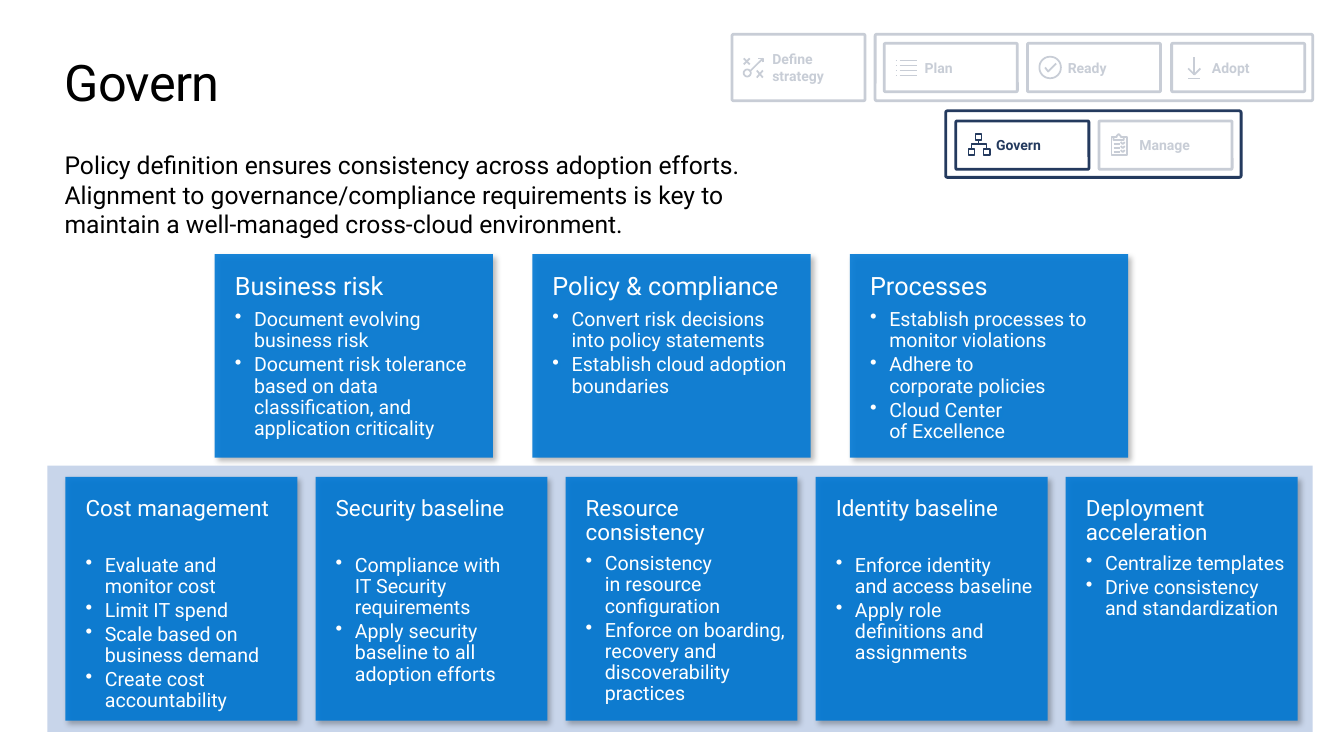
from dataclasses import dataclass
from math import cos, pi, sin

from lxml import etree
from pptx import Presentation
from pptx import util as u
from pptx.dml.color import RGBColor
from pptx.enum import shapes, text
from pptx.oxml.ns import qn

Stroke = list[tuple[float, float]]


@dataclass(frozen=True)
class Theme:
    font: str = "Roboto"
    ink: str = "000000"
    white: str = "FFFFFF"
    navy: str = "243A5E"
    blue: str = "0078D4"
    band: str = "C8D5EA"
    title: float = 36
    intro: float = 17.6
    bullet: float = 14
    step: float = 10
    heading_line: float = 18.5  # height of one heading line in points


@dataclass(frozen=True)
class Step:
    label: str
    left: float
    top: float
    icon: list[Stroke]  # inches from the top left of the box
    height: float = 0.48
    width: float = 1.32


@dataclass(frozen=True)
class Card:
    heading: str
    bullets: list[str]
    heading_lines: int = 1


@dataclass(frozen=True)
class CardRow:
    left: float
    top: float
    width: float
    height: float
    pitch: float
    heading_size: float
    heading_lines: int
    cards: list[Card]


THEME = Theme()


# Icon strokes
def circle(x: float, y: float, radius: float, sides: int = 36) -> Stroke:
    angles = [2 * pi * i / sides for i in range(sides + 1)]
    return [(x + radius * cos(a), y + radius * sin(a)) for a in angles]


def square(x: float, y: float, side: float = 0.06) -> Stroke:
    return [(x, y), (x + side, y), (x + side, y + side), (x, y + side), (x, y)]


STRATEGY = [[(.18, .3), (.12, .24)], [(.18, .24), (.12, .3)],
            [(.31, .43), (.25, .36)], [(.31, .36), (.25, .43)],
            circle(.155, .385, .035), [(.18, .37), (.31, .24)],
            [(.31, .28), (.31, .24), (.26, .24)]]
LIST = [[(x1, y), (x2, y)] for y in (.17, .22, .27, .32)
        for x1, x2 in ((.16, .33), (.12, .13))]
CHECK = [circle(.23, .24, .107), [(.18, .24), (.21, .28), (.29, .2)]]
ARROW = [[(.29, .25), (.23, .31), (.17, .25)], [(.23, .31), (.23, .14)],
         [(.17, .35), (.29, .35)]]
HIERARCHY = [square(.13, .28), square(.28, .28), square(.2, .13),
             [(.23, .19), (.23, .23)],
             [(.31, .28), (.31, .23), (.16, .23), (.16, .28)]]
CLIPBOARD = [[(.18, .16), (.18, .15), (.2, .13), (.22, .15), (.22, .16), (.25, .16),
              (.25, .19), (.15, .19), (.15, .16), (.18, .16)],
             [(.15, .16), (.13, .16), (.13, .34), (.28, .34), (.28, .16), (.25, .16)]]
for row_y in (.23, .27, .31):
    CLIPBOARD += [[(.15, row_y), (.21, row_y)],
                  [(.22, row_y - .02), (.24, row_y), (.26, row_y - .02)]]

# Content
STEPS = [
    Step("Define strategy", 7.26, 0.34, STRATEGY, height=0.66),
    Step("Plan", 8.77, 0.43, LIST),
    Step("Ready", 10.19, 0.43, CHECK),
    Step("Adopt", 11.62, 0.43, ARROW),
    Step("Govern", 9.48, 1.2, HIERARCHY),
    Step("Manage", 10.9, 1.2, CLIPBOARD),
]
STEP_FRAMES = [(8.68, 0.34, 4.34, 0.66), (9.38, 1.1, 2.93, 0.66)]
FADED_AREAS = [(7.16, 0.24, 5.9, 0.81), (10.88, 1.15, 1.38, 0.58)]

DISCIPLINES = CardRow(0.65, 4.73, 2.3, 2.42, 2.48, 16, 2, [
    Card("Cost management", ["Evaluate and monitor cost", "Limit IT spend",
                             "Scale based on\nbusiness demand",
                             "Create cost accountability"]),
    Card("Security baseline", ["Compliance with\nIT Security requirements",
                               "Apply security baseline to all adoption efforts"]),
    Card("Resource consistency", ["Consistency\nin resource configuration",
                                  "Enforce on boarding, recovery and "
                                  "discoverability practices"], heading_lines=2),
    Card("Identity baseline", ["Enforce identity\nand access baseline",
                               "Apply role definitions and assignments"]),
    Card("Deployment acceleration", ["Centralize templates",
                                     "Drive consistency and standardization"],
         heading_lines=2),
])
POLICY = CardRow(2.13, 2.52, 2.76, 2.02, 3.15, 18, 1, [
    Card("Business risk", ["Document evolving business risk",
                           "Document risk tolerance based on data classification, "
                           "and application criticality"]),
    Card("Policy & compliance", ["Convert risk decisions into policy statements",
                                 "Establish cloud adoption boundaries"]),
    Card("Processes", ["Establish processes to\nmonitor violations",
                       "Adhere to\ncorporate policies", "Cloud Center\nof Excellence"]),
])


# Drawing helpers
def style(paragraph, size: float, color: str, bold: bool = False) -> None:
    font = paragraph.font
    font.name, font.size, font.bold = THEME.font, u.Pt(size), bold
    font.color.rgb = RGBColor.from_string(color)
    paragraph.alignment = text.PP_ALIGN.LEFT


def set_frame(frame, left: float, top: float, right: float, bottom: float, anchor) -> None:
    frame.margin_left, frame.margin_top = u.Inches(left), u.Inches(top)
    frame.margin_right, frame.margin_bottom = u.Inches(right), u.Inches(bottom)
    frame.word_wrap, frame.auto_size = True, text.MSO_AUTO_SIZE.NONE
    frame.vertical_anchor = anchor


def add_box(parent, area, fill: str | None = None, opacity: int = 100,
            line: str | None = None, rounded: bool = False):
    kind = shapes.MSO_SHAPE.ROUNDED_RECTANGLE if rounded else shapes.MSO_SHAPE.RECTANGLE
    box = parent.add_shape(kind, *map(u.Inches, area))
    box.shadow.inherit = False
    if rounded:
        box.adjustments[0] = 0.025
    if fill:
        box.fill.solid()
        box.fill.fore_color.rgb = RGBColor.from_string(fill)
        if opacity < 100:
            color = box.fill._xPr.find(f".//{qn('a:srgbClr')}")
            etree.SubElement(color, qn("a:alpha"), val=str(opacity * 1000))
    else:
        box.fill.background()
    if line:
        box.line.color.rgb = RGBColor.from_string(line)
        box.line.width = u.Pt(2)
    else:
        box.line.fill.background()
    return box


def add_step(parent, step: Step) -> None:
    group = parent.add_group_shape().shapes
    area = (step.left, step.top, step.width, step.height)
    add_box(group, area, THEME.white, line=THEME.navy, rounded=True)
    label = group.add_textbox(*map(u.Inches, area)).text_frame
    set_frame(label, 0.4, 0, 0, 0, text.MSO_ANCHOR.MIDDLE)
    label.text = step.label
    style(label.paragraphs[0], THEME.step, THEME.navy, bold=True)

    strokes = [[((step.left + x) * 1000, (step.top + y) * 1000) for x, y in stroke]
               for stroke in step.icon]
    builder = group.build_freeform(*strokes[0][0], scale=u.Inches(0.001))
    builder.add_line_segments(strokes[0][1:], close=False)
    for stroke in strokes[1:]:
        builder.move_to(*stroke[0])
        builder.add_line_segments(stroke[1:], close=False)
    icon = builder.convert_to_shape()
    icon.shadow.inherit = False
    icon.fill.background()
    icon.line.color.rgb = RGBColor.from_string(THEME.navy)
    icon.line.width = u.Pt(1.25)


def add_card(parent, row: CardRow, index: int, card: Card) -> None:
    area = (row.left + index * row.pitch, row.top, row.width, row.height)
    box = add_box(parent, area, THEME.blue, opacity=90)
    effects = box._element.spPr.find(qn("a:effectLst"))
    shadow = etree.SubElement(effects, qn("a:outerShdw"), blurRad=str(u.Pt(4)),
                              dist=str(u.Pt(3)), dir="2700000", algn="tl", rotWithShape="0")
    color = etree.SubElement(shadow, qn("a:srgbClr"), val=THEME.ink)
    etree.SubElement(color, qn("a:alpha"), val="30000")

    frame = box.text_frame
    set_frame(frame, 0.2, 0.2, 0.1, 0, text.MSO_ANCHOR.TOP)
    heading = frame.paragraphs[0]
    heading.text, heading.line_spacing = card.heading, 0.9
    spare_lines = row.heading_lines - card.heading_lines
    heading.space_after = u.Pt(6 + spare_lines * THEME.heading_line)
    style(heading, row.heading_size, THEME.white)
    for item in card.bullets:
        bullet = frame.add_paragraph()
        bullet.text, bullet.line_spacing, bullet.space_after = item, 0.9, u.Pt(2)
        props = bullet._p.get_or_add_pPr()
        props.set("marL", str(u.Inches(0.19)))
        props.set("indent", str(u.Inches(-0.19)))
        etree.SubElement(props, qn("a:buChar"), char="•")
        style(bullet, THEME.bullet, THEME.white)


def place(holder, left: float, top: float, width: float, height: float) -> None:
    holder.left, holder.top = u.Inches(left), u.Inches(top)
    holder.width, holder.height = u.Inches(width), u.Inches(height)


def main() -> None:
    deck = Presentation()
    deck.slide_width, deck.slide_height = u.Inches(13.33), u.Inches(7.5)
    slide = deck.slides.add_slide(deck.slide_layouts[1])

    # Title and introduction
    title, intro = slide.placeholders
    place(title, 0.64, 0.5, 12.05, 0.61)
    set_frame(title.text_frame, 0, 0, 0, 0, text.MSO_ANCHOR.MIDDLE)
    title.text_frame.text = "Govern"
    style(title.text_frame.paragraphs[0], THEME.title, THEME.ink)
    title.text_frame.paragraphs[0].runs[0]._r.get_or_add_rPr().set("spc", "-50")

    place(intro, 0.64, 1.44, 7.27, 0.99)
    set_frame(intro.text_frame, 0, 0.05, 0.1, 0.05, text.MSO_ANCHOR.TOP)
    intro.text_frame.text = (
        "Policy definition ensures consistency across adoption efforts. Alignment to "
        "governance/compliance requirements is key to maintain a well-managed "
        "cross-cloud environment.")
    summary = intro.text_frame.paragraphs[0]
    props = summary._p.get_or_add_pPr()
    props.set("marL", "0")
    props.set("indent", "0")
    etree.SubElement(props, qn("a:buNone"))
    summary.space_before = u.Pt(0)
    style(summary, THEME.intro, THEME.ink)

    # Step navigator, faded except for the current step
    for area in STEP_FRAMES:
        add_box(slide.shapes, area, line=THEME.navy, rounded=True)
    for step in STEPS:
        add_step(slide.shapes, step)
    for area in FADED_AREAS:
        add_box(slide.shapes, area, THEME.white, opacity=75)

    # Cards
    add_box(slide.shapes, (0.47, 4.62, 12.55, 2.64), THEME.band)
    for row in (DISCIPLINES, POLICY):
        for index, card in enumerate(row.cards):
            add_card(slide.shapes, row, index, card)

    deck.save("out.pptx")


if __name__ == "__main__":
    main()
